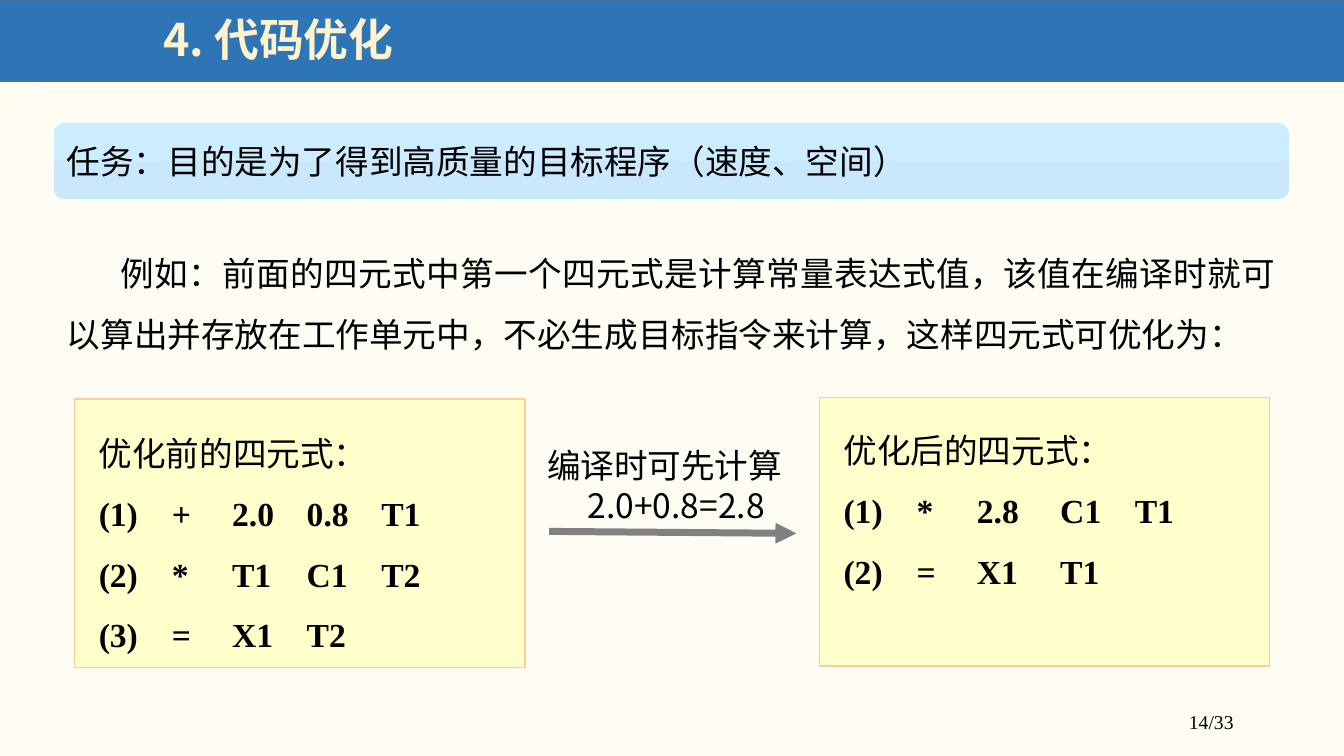
from dataclasses import dataclass

import lxml.etree
import pptx
import pptx.dml.color
import pptx.enum.shapes
import pptx.enum.text
import pptx.oxml.ns
import pptx.util

Cm = pptx.util.Cm
Pt = pptx.util.Pt
Align = pptx.enum.text.PP_ALIGN
Anchor = pptx.enum.text.MSO_ANCHOR
Preset = pptx.enum.shapes.MSO_SHAPE
qn = pptx.oxml.ns.qn

SANS = "Noto Sans CJK SC"
SERIF = "Times New Roman"
COLOURS = {
    "page_start": "FFFCF3", "page_end": "FFFBEF",
    "bar": "2E75B6", "bar_line": "43739E", "title": "FFF2CC",
    "task_top": "CCECFF", "task_bottom": "C9E8FB",
    "panel": "FFFFCC", "panel_line": "FFCC99",
    "arrow": "808080", "text": "000000",
}


@dataclass
class Panel:
    left: float
    top: float
    inset_top: float
    anchor: Anchor
    heading: str
    rows: list[str]
    tab_stops: list[float]


PANELS = [
    Panel(1.88, 10.06, 0.13, Anchor.MIDDLE, "优化前的四元式：",
          ["(1)\t+\t2.0\t0.8\tT1", "(2)\t*\tT1\tC1\tT2", "(3)\t=\tX1\tT2"],
          [1.84, 3.36, 5.24, 7.12]),
    Panel(20.65, 10.02, 0.3, Anchor.TOP, "优化后的四元式：",
          ["(1)\t*\t2.8\tC1\tT1", "(2)\t=\tX1\tT1"],
          [1.84, 3.36, 5.46, 7.34]),
]


def colour(name: str) -> pptx.dml.color.RGBColor:
    return pptx.dml.color.RGBColor.from_string(COLOURS[name])


def set_gradient(fill, start: str, end: str, angle: float, first: float = 0) -> None:
    fill.gradient()
    fill.gradient_angle = angle
    for stop, name, position in zip(fill.gradient_stops, (start, end), (first, 1)):
        stop.color.rgb = colour(name)
        stop.position = position


def set_frame(shape, anchor=Anchor.MIDDLE, left=0.25, top=0.13):
    frame = shape.text_frame
    frame.word_wrap = True
    frame.auto_size = pptx.enum.text.MSO_AUTO_SIZE.NONE
    frame.vertical_anchor = anchor
    frame.margin_left, frame.margin_right = Cm(left), Cm(0.25)
    frame.margin_top, frame.margin_bottom = Cm(top), Cm(0.13)
    return frame


def write(frame, text: str, *, size=24, font=SANS, ink="text", bold=False,
          align=Align.LEFT, spacing=1.0, indent=0.0, tab_stops=()) -> None:
    """Fill the first paragraph of a frame, or add one after it."""
    para = frame.paragraphs[0]
    if para.runs:
        para = frame.add_paragraph()
    para.alignment = align
    para.line_spacing = spacing
    properties = para._p.get_or_add_pPr()
    if indent:
        properties.set("indent", str(Cm(indent)))
    if tab_stops:
        tabs = lxml.etree.SubElement(properties, qn("a:tabLst"))
        for stop in tab_stops:
            lxml.etree.SubElement(tabs, qn("a:tab"), pos=str(Cm(stop)), algn="l")
    span = para.add_run()
    span.text = text
    span.font.size = Pt(size)
    span.font.bold = bold
    span.font.color.rgb = colour(ink)
    span.font.name = font
    lxml.etree.SubElement(span._r.get_or_add_rPr(), qn("a:ea"), typeface=font)


def add_box(page, preset, left, top, width, height, fill=None, line=None, corner=None):
    box = page.shapes.add_shape(preset, Cm(left), Cm(top), Cm(width), Cm(height))
    box.shadow.inherit = False
    if corner is not None:
        box.adjustments[0] = corner
    if fill:
        box.fill.solid()
        box.fill.fore_color.rgb = colour(fill)
    else:
        box.fill.background()
    if line:
        box.line.color.rgb = colour(line)
        box.line.width = Pt(1)
    else:
        box.line.fill.background()
    return box


def add_panel(page, panel: Panel) -> None:
    box = add_box(page, Preset.RECTANGLE, panel.left, panel.top, 11.35, 6.76,
                  "panel", "panel_line")
    frame = set_frame(box, panel.anchor, left=0.61, top=panel.inset_top)
    write(frame, panel.heading, spacing=1.5)
    for row in panel.rows:
        write(frame, row, font=SERIF, bold=True, spacing=1.5, tab_stops=panel.tab_stops)


def add_arrow(page, x1: float, y1: float, x2: float, y2: float) -> None:
    arrow = page.shapes.add_connector(pptx.enum.shapes.MSO_CONNECTOR.STRAIGHT,
                                      Cm(x1), Cm(y1), Cm(x2), Cm(y2))
    arrow.line.color.rgb = colour("arrow")
    arrow.line.width = Pt(5)
    lxml.etree.SubElement(arrow.line._get_or_add_ln(), qn("a:tailEnd"), type="triangle")
    lxml.etree.SubElement(arrow._element.spPr, qn("a:effectLst"))


def main() -> None:
    deck = pptx.Presentation()
    deck.slide_width, deck.slide_height = Cm(33.87), Cm(19.05)
    page = deck.slides.add_slide(deck.slide_layouts[5])
    set_gradient(page.background.fill, "page_start", "page_end", 135, first=0.88)

    # Title bar, placed behind the title
    bar = add_box(page, Preset.RECTANGLE, -0.05, 0, 33.93, 2.04, "bar", "bar_line")
    title = page.shapes.title
    title._element.addprevious(bar._element)
    title.left, title.top, title.width, title.height = Cm(3.86), Cm(0), Cm(27.86), Cm(2.1)
    write(set_frame(title), "4. 代码优化", size=32, ink="title", bold=True, spacing=0.9)

    # Task banner
    banner = add_box(page, Preset.ROUNDED_RECTANGLE, 1.35, 3.1, 31.14, 1.92, corner=0.15)
    set_gradient(banner.fill, "task_top", "task_bottom", 270)
    write(set_frame(banner), "任务：目的是为了得到高质量的目标程序（速度、空间）")

    # Example
    example = add_box(page, Preset.ROUNDED_RECTANGLE, 1.35, 5.54, 31.14, 3.7, corner=0.08)
    write(set_frame(example),
          "例如：前面的四元式中第一个四元式是计算常量表达式值，该值在编译时就可以算出"
          "并存放在工作单元中，不必生成目标指令来计算，这样四元式可优化为：",
          align=Align.JUSTIFY, spacing=1.5, indent=1.36)

    # Quadruples before and after, joined by the arrow
    for panel in PANELS:
        add_panel(page, panel)
    add_arrow(page, 13.84, 13.39, 20.07, 13.44)
    label = add_box(page, Preset.ROUNDED_RECTANGLE, 13.44, 10.16, 7.21, 4.11, corner=0.08)
    label_frame = set_frame(label)
    write(label_frame, "编译时可先计算", align=Align.JUSTIFY)
    write(label_frame, "2.0+0.8=2.8", align=Align.CENTER)

    # Page number
    number = page.shapes.add_textbox(Cm(24.28), Cm(17.35), Cm(7.06), Cm(1.27))
    write(set_frame(number, Anchor.BOTTOM), "14/33", size=14, font=SERIF, align=Align.RIGHT)

    deck.save("out.pptx")


if __name__ == "__main__":
    main()
